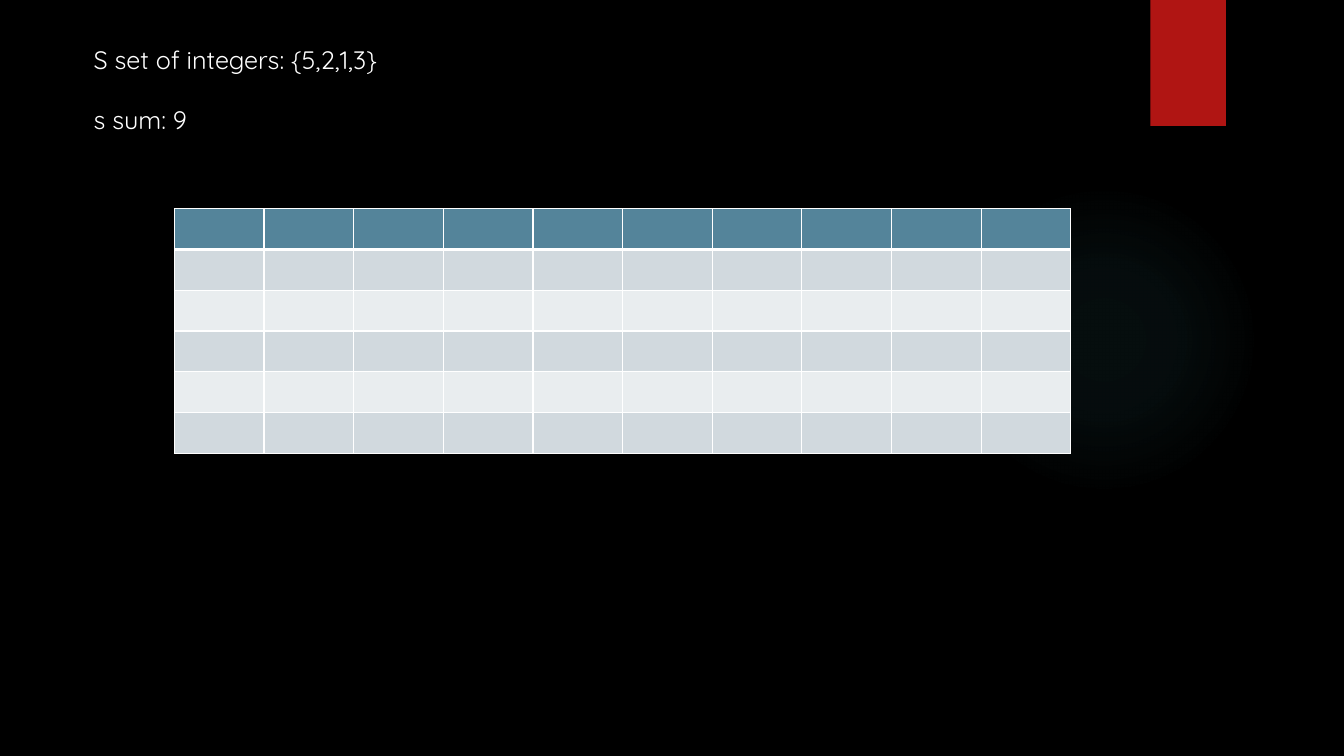
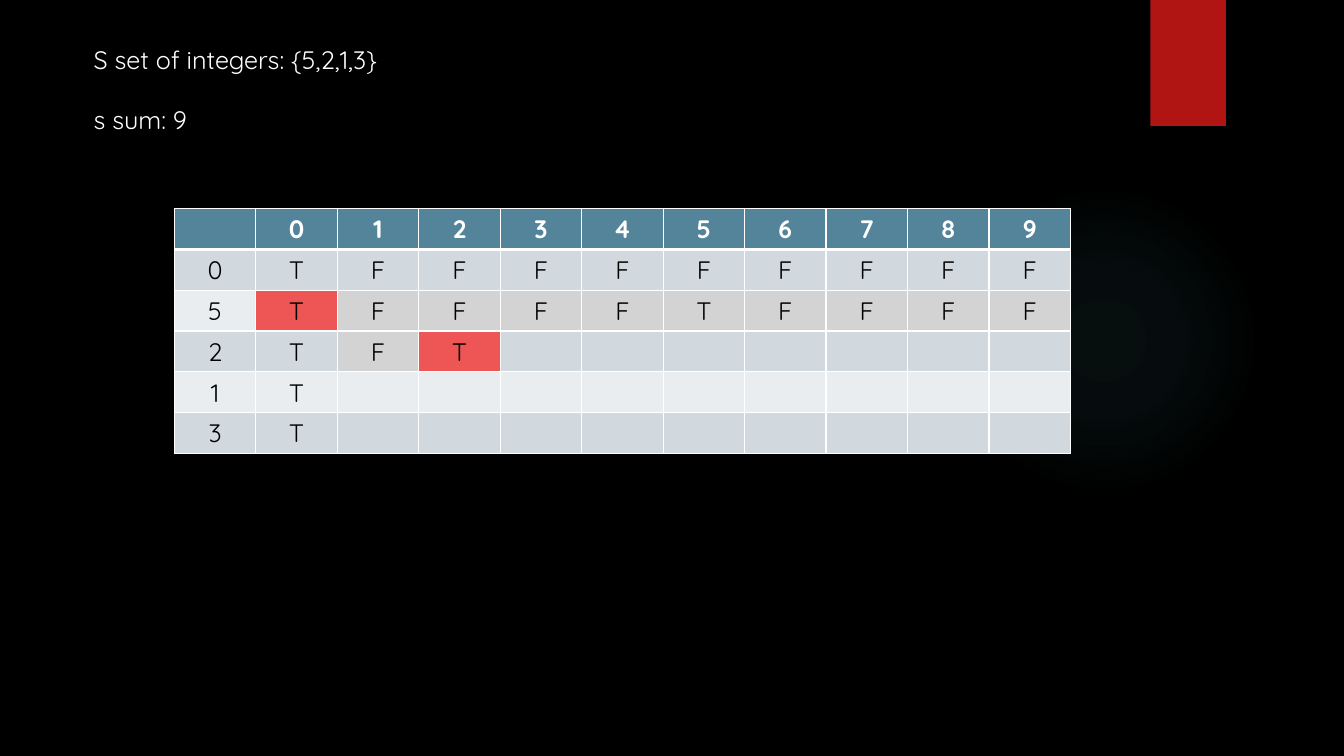
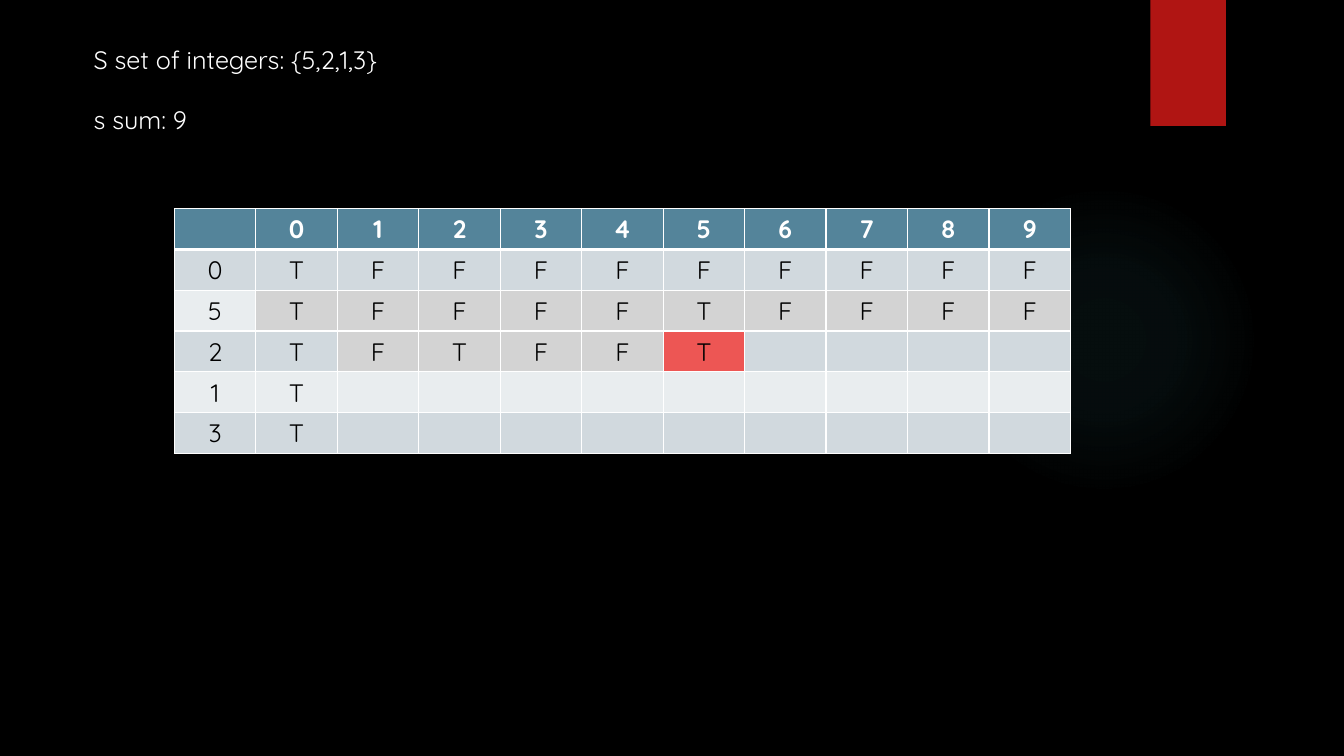
"""Build three slides that fill in a subset-sum table step by step."""
from dataclasses import dataclass

from pptx import Presentation
from pptx.dml.color import RGBColor
from pptx.enum import shapes, text
from pptx.oxml import ns, parse_xml
from pptx.util import Inches, Length, Pt


@dataclass(frozen=True)
class Theme:
    font: str = "Quicksand"
    size: Length = Pt(18)
    paragraph_gap: Length = Pt(21.5)
    thin: Length = Pt(1)
    thick: Length = Pt(3)
    background: str = "000000"
    light: str = "FFFFFF"
    dark: str = "000000"
    glow: str = "50B9C1"
    ribbon: str = "B01513"
    header: str = "54849A"
    odd_row: str = "D1D9DE"
    even_row: str = "E9EDEF"
    visited: str = "D3D3D3"
    active: str = "ED5654"


@dataclass(frozen=True)
class Stage:
    columns: int
    rows: tuple[str, ...] = ()
    visited: frozenset[tuple[int, int]] = frozenset()
    active: frozenset[tuple[int, int]] = frozenset()


THEME = Theme()
ROW_COUNT = 6
TABLE_WIDTH = 8.89
TABLE_HEIGHT = 2.43
PROBLEM = ("S set of integers: {5,2,1,3}", "s sum: 9")
GLOW_STOPS = ((0, 7), (36, 6), (69, 0))
HEADINGS = " 0123456789"
BASE_ROW = "0TFFFFFFFFF"
FIVE_ROW = "5TFFFFTFFFF"
FIVE_CELLS = frozenset((2, column) for column in range(1, 11))

STAGES = (
    Stage(columns=10),
    Stage(
        columns=11,
        rows=(HEADINGS, BASE_ROW, FIVE_ROW, "2TFT", "1T", "3T"),
        visited=FIVE_CELLS | {(3, 2)},
        active=frozenset({(2, 1), (3, 3)}),
    ),
    Stage(
        columns=11,
        rows=(HEADINGS, BASE_ROW, FIVE_ROW, "2TFTFFT", "1T", "3T"),
        visited=FIVE_CELLS | {(3, column) for column in range(2, 6)},
        active=frozenset({(3, 6)}),
    ),
)


def rgb(value: str) -> RGBColor:
    return RGBColor.from_string(value)


def style_font(font, color: str, bold: bool = False) -> None:
    font.name = THEME.font
    font.size = THEME.size
    font.bold = bold
    font.color.rgb = rgb(color)


def add_plain_shape(slide, kind, left: float, top: float, width: float, height: float):
    shape = slide.shapes.add_shape(kind, Inches(left), Inches(top), Inches(width), Inches(height))
    shape.shadow.inherit = False
    shape.line.fill.background()
    return shape


def decorate_master(prs, slide) -> None:
    master = prs.slide_master
    master.background.fill.solid()
    master.background.fill.fore_color.rgb = rgb(THEME.background)

    glow = add_plain_shape(slide, shapes.MSO_SHAPE.OVAL, 9.41, 1.83, 3.08, 3.08)
    glow.fill.background()
    stops = "".join(
        f'<a:gs pos="{position * 1000}"><a:srgbClr val="{THEME.glow}">'
        f'<a:alpha val="{alpha * 1000}"/></a:srgbClr></a:gs>'
        for position, alpha in GLOW_STOPS
    )
    properties = glow.element.spPr
    properties.replace(
        properties.find(ns.qn("a:noFill")),
        parse_xml(
            f'<a:gradFill {ns.nsdecls("a")} rotWithShape="1"><a:gsLst>{stops}</a:gsLst>'
            '<a:path path="circle"><a:fillToRect l="50000" t="50000" r="50000" b="50000"/>'
            "</a:path></a:gradFill>"
        ),
    )

    ribbon = add_plain_shape(slide, shapes.MSO_SHAPE.RECTANGLE, 11.41, 0, 0.75, 1.25)
    ribbon.fill.solid()
    ribbon.fill.fore_color.rgb = rgb(THEME.ribbon)
    ribbon.element.spPr.find(ns.qn("a:effectLst")).append(
        parse_xml(
            f'<a:outerShdw {ns.nsdecls("a")} blurRad="{Pt(3)}" dist="{Pt(2)}" dir="5400000">'
            '<a:srgbClr val="000000"><a:alpha val="45000"/></a:srgbClr></a:outerShdw>'
        )
    )

    for number, shape in enumerate((glow, ribbon), start=101):
        shape.element.nvSpPr.cNvPr.set("id", str(number))
        master.shapes.element.append(shape.element)


def add_problem(slide) -> None:
    box = slide.shapes.add_textbox(Inches(0.83), Inches(0.39), Inches(3.19), Inches(1.01))
    frame = box.text_frame
    frame.word_wrap = False
    frame.auto_size = text.MSO_AUTO_SIZE.SHAPE_TO_FIT_TEXT
    frame.text = "\n".join(PROBLEM)
    for index, paragraph in enumerate(frame.paragraphs):
        if index:
            paragraph.space_before = THEME.paragraph_gap
        style_font(paragraph.runs[0].font, THEME.light)


def set_borders(cell, top: Length, bottom: Length) -> None:
    properties = cell._tc.get_or_add_tcPr()
    for side, width in (("L", THEME.thin), ("R", THEME.thin), ("T", top), ("B", bottom)):
        properties.append(
            parse_xml(
                f'<a:ln{side} {ns.nsdecls("a")} w="{width}"><a:solidFill>'
                f'<a:srgbClr val="{THEME.light}"/></a:solidFill></a:ln{side}>'
            )
        )


def cell_color(stage: Stage, row: int, column: int) -> str:
    if row == 0:
        return THEME.header
    if (row, column) in stage.active:
        return THEME.active
    if (row, column) in stage.visited:
        return THEME.visited
    return THEME.odd_row if row % 2 else THEME.even_row


def add_sum_table(slide, stage: Stage) -> None:
    table = slide.shapes.add_table(
        ROW_COUNT, stage.columns,
        Inches(1.73), Inches(2.07), Inches(TABLE_WIDTH), Inches(TABLE_HEIGHT),
    ).table
    for column in table.columns:
        column.width = Inches(TABLE_WIDTH / stage.columns)
    for row_index, row in enumerate(table.rows):
        row.height = Inches(TABLE_HEIGHT / ROW_COUNT)
        values = stage.rows[row_index] if stage.rows else ""
        is_header = row_index == 0
        for column_index, cell in enumerate(row.cells):
            set_borders(
                cell,
                top=THEME.thick if row_index == 1 else THEME.thin,
                bottom=THEME.thick if is_header else THEME.thin,
            )
            cell.fill.solid()
            cell.fill.fore_color.rgb = rgb(cell_color(stage, row_index, column_index))
            value = values[column_index:column_index + 1].strip()
            if value:
                paragraph = cell.text_frame.paragraphs[0]
                paragraph.text = value
                paragraph.alignment = text.PP_ALIGN.CENTER
                style_font(paragraph.runs[0].font, THEME.light if is_header else THEME.dark, is_header)


def main() -> None:
    prs = Presentation()
    prs.slide_width, prs.slide_height = Inches(13.33), Inches(7.5)
    blank = prs.slide_layouts[6]
    for index, stage in enumerate(STAGES):
        slide = prs.slides.add_slide(blank)
        if index == 0:
            decorate_master(prs, slide)
        add_problem(slide)
        add_sum_table(slide, stage)
    prs.save("out.pptx")


if __name__ == "__main__":
    main()
